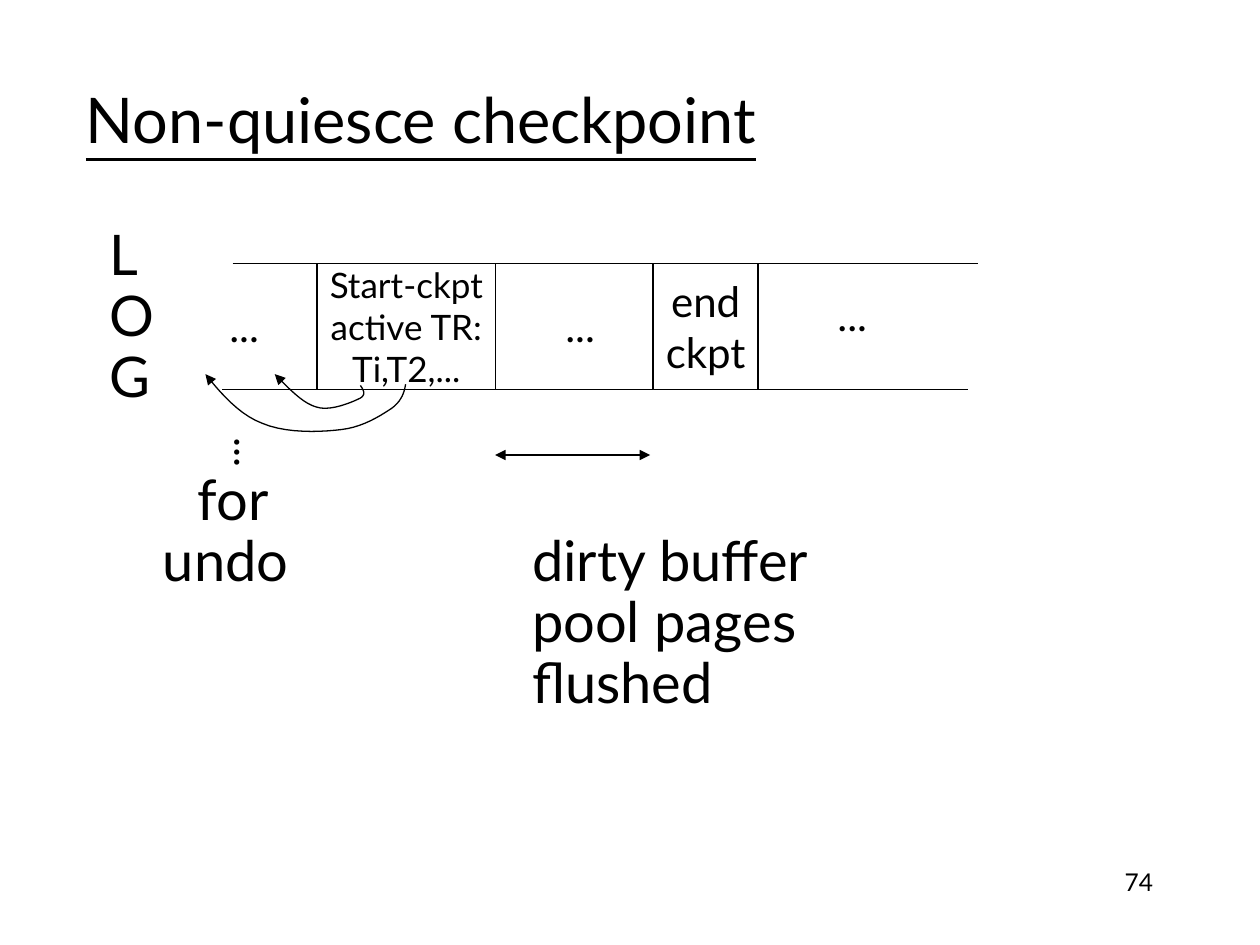
import pptx
import pptx.util
import pptx.dml.color
import pptx.enum.shapes
import pptx.enum.text
import pptx.oxml.ns
import lxml.etree

Pt = pptx.util.Pt
qn = pptx.oxml.ns.qn
ALIGN = pptx.enum.text.PP_ALIGN
ANCHOR = pptx.enum.text.MSO_ANCHOR
BLACK = pptx.dml.color.RGBColor(0, 0, 0)
WHITE = pptx.dml.color.RGBColor(255, 255, 255)
FONT = "Lato"


def write(s, lines, size, align=ALIGN.LEFT, anchor=ANCHOR.TOP, wrap=True, before=0, spacing=1.0, underline=None):
    tf = s.text_frame
    tf.word_wrap = wrap
    tf.vertical_anchor = anchor
    for i, line in enumerate(lines):
        p = tf.add_paragraph() if i else tf.paragraphs[0]
        p.alignment = align
        p.space_before = Pt(before)
        p.line_spacing = spacing
        r = p.add_run()
        r.text = line
        r.font.name = FONT
        r.font.size = Pt(size)
        r.font.color.rgb = BLACK
        r.font.underline = underline
    return tf


def outline(s, *ends):
    s.line.color.rgb = BLACK
    s.line.width = Pt(0.75)
    ln = s.line._ln
    for end in ends:
        lxml.etree.SubElement(ln, qn("a:" + end), type="triangle")
    if s._element.spPr.find(qn("a:effectLst")) is None:
        lxml.etree.SubElement(s._element.spPr, qn("a:effectLst"))


prs = pptx.Presentation()
prs.slide_width = Pt(720)
prs.slide_height = Pt(540)
slide = prs.slides.add_slide(prs.slide_layouts[6])
shapes = slide.shapes

number = shapes.add_textbox(Pt(516), Pt(492), Pt(150), Pt(36))
write(number, ["74"], 14, align=ALIGN.RIGHT)
title = shapes.add_textbox(Pt(42), Pt(31), Pt(612), Pt(73))
write(title, ["Non-quiesce checkpoint"], 36, anchor=ANCHOR.MIDDLE, underline=True)

LABEL_TOP, LABEL_PITCH = 132.5, 34.9
labels = [
    (55.5, 0, 50, ["L", "O", "G"]),
    (86, 4, 110, ["for", "undo"]),
    (297, 5, 200, ["dirty buffer", "pool pages", "flushed"]),
]
for x, row, w, lines in labels:
    s = shapes.add_textbox(Pt(x), Pt(LABEL_TOP + row * LABEL_PITCH), Pt(w), Pt(len(lines) * LABEL_PITCH + 8))
    tf = write(s, lines, 32, before=8, spacing=0.7)
    if lines[0] == "for":
        tf.paragraphs[0]._p.get_or_add_pPr().set("marL", str(Pt(20)))

LOG_TOP, LOG_HEIGHT = 150.5, 72
LOG_BOTTOM = LOG_TOP + LOG_HEIGHT
x = 181.25
for w, lines, size in [(102, ["Start-ckpt", "active TR:", "Ti,T2,..."], 20), (90, [], 20), (60, ["end", "ckpt"], 24)]:
    s = shapes.add_shape(pptx.enum.shapes.MSO_SHAPE.RECTANGLE, Pt(x), Pt(LOG_TOP), Pt(w), Pt(LOG_HEIGHT))
    s.shadow.inherit = False
    s.fill.solid()
    s.fill.fore_color.rgb = WHITE
    outline(s)
    write(s, lines, size, align=ALIGN.CENTER, anchor=ANCHOR.MIDDLE, wrap=False)
    x += w

lines = [
    (433, LOG_TOP, 126, []),
    (427, LOG_BOTTOM, 126, []),
    (133, LOG_TOP, 126, []),
    (127, LOG_BOTTOM, 126, []),
    (283, 260, 88.5, ["headEnd", "tailEnd"]),
]
for x, y, length, ends in lines:
    s = shapes.add_connector(pptx.enum.shapes.MSO_CONNECTOR.STRAIGHT, Pt(x), Pt(y), Pt(x + length), Pt(y))
    outline(s, *ends)

for x, y, rotation in [(470, 162, 0), (314.5, 168, 0), (122.5, 168, 0), (110, 240.5, 270)]:
    s = shapes.add_textbox(Pt(x), Pt(y), Pt(34), Pt(36))
    s.rotation = rotation
    write(s, ["..."], 24, align=ALIGN.CENTER, anchor=ANCHOR.MIDDLE, wrap=False, before=15)

undo_arrows = [
    [(206, 220.3), (207.4, 222.5), (209.5, 225.4), (206, 227.5), (201.6, 229.7), (188.6, 235.4),
     (180.7, 232.6), (172.8, 230.4), (164.9, 221.8), (157, 213.8)],
    [(231.8, 219.6), (231.1, 223.9), (229.7, 229), (223.9, 233.3), (217.4, 237.6), (207.4, 244.1),
     (195.1, 245.5), (182.9, 247), (163.4, 247.7), (149.8, 241.9), (136.8, 236.9), (126.7, 225.4), (117.4, 213.8)],
]
STEPS = 10
for points in undo_arrows:
    curve = []
    for i in range(0, len(points) - 1, 3):
        for k in range(1, STEPS + 1):
            t = k / STEPS
            weights = [(1 - t) ** 3, 3 * t * (1 - t) ** 2, 3 * t ** 2 * (1 - t), t ** 3]
            curve.append([Pt(sum(c * v[axis] for c, v in zip(weights, points[i:i + 4]))) for axis in (0, 1)])
    builder = shapes.build_freeform(Pt(points[0][0]), Pt(points[0][1]))
    builder.add_line_segments(curve, close=False)
    s = builder.convert_to_shape()
    s.shadow.inherit = False
    s.fill.background()
    outline(s, "tailEnd")

prs.save("out.pptx")
